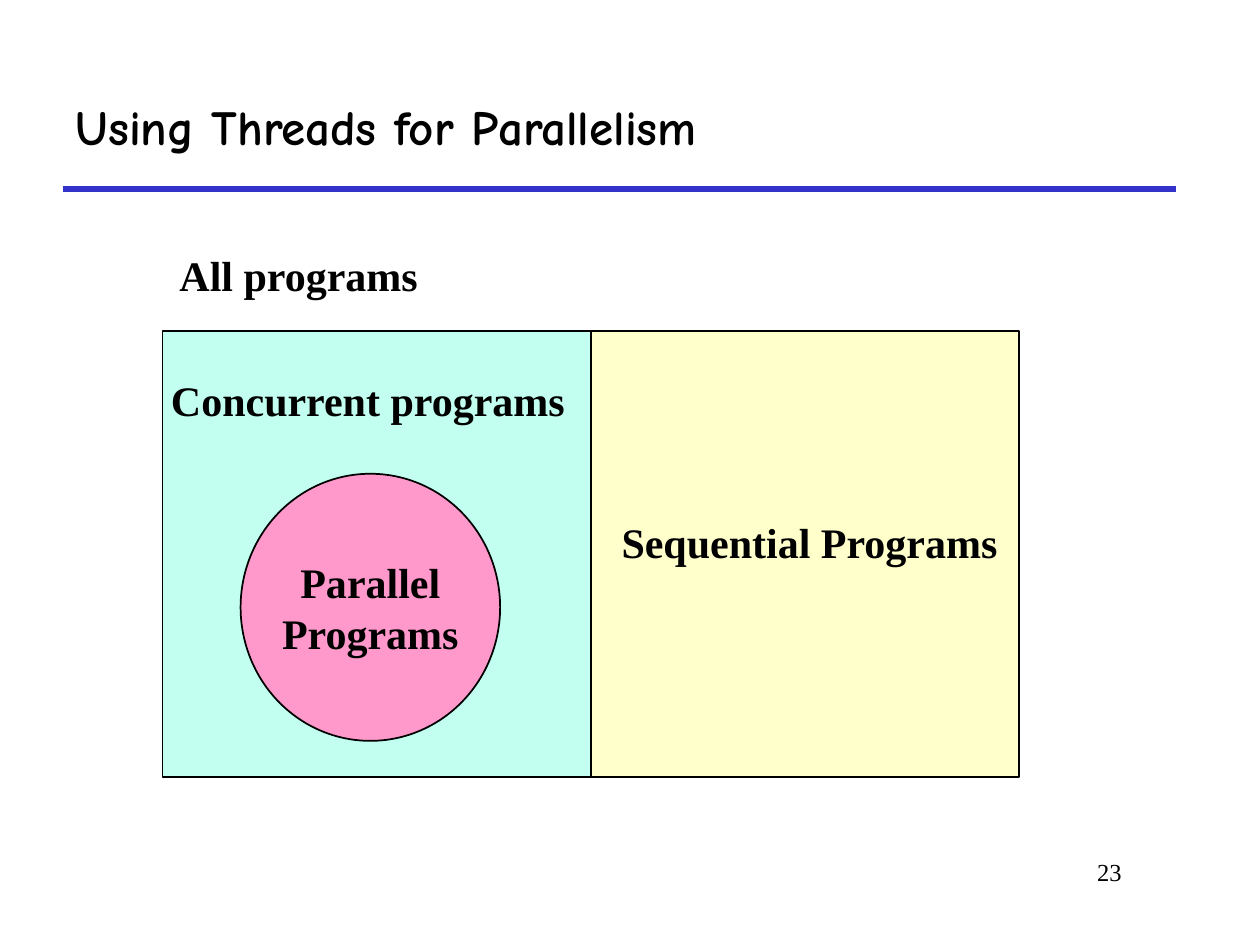
from lxml import etree
from pptx import Presentation
from pptx.dml.color import RGBColor
from pptx.enum.shapes import MSO_CONNECTOR, MSO_SHAPE
from pptx.enum.text import MSO_ANCHOR, PP_ALIGN
from pptx.oxml.ns import qn
from pptx.util import Inches, Pt

BLACK = "000000"
SERIF = "Times New Roman"


def color(value):
    return RGBColor.from_string(value)


def write(shape, lines, size, font=SERIF, bold=True, align=PP_ALIGN.CENTER,
          anchor=MSO_ANCHOR.MIDDLE, wrap=False):
    frame = shape.text_frame
    frame.word_wrap = wrap
    frame.vertical_anchor = anchor
    frame.text = "\n".join(lines)
    for paragraph in frame.paragraphs:
        paragraph.alignment = align
        paragraph.font.name = font
        paragraph.font.size = Pt(size)
        paragraph.font.bold = bold
        paragraph.font.color.rgb = color(BLACK)


def add_region(slide, kind, box, fill):
    region = slide.shapes.add_shape(kind, *map(Inches, box))
    region.shadow.inherit = False
    region.fill.solid()
    region.fill.fore_color.rgb = color(fill)
    region.line.color.rgb = color(BLACK)
    region.line.width = Pt(1)
    return region


def add_label(slide, text, box):
    label = slide.shapes.add_textbox(*map(Inches, box))
    write(label, [text], 24)


def add_header(slide, left, top, width, height):
    rule = slide.shapes.add_connector(
        MSO_CONNECTOR.STRAIGHT, Inches(left), Inches(top + height),
        Inches(left + width), Inches(top + height))
    rule.line.color.rgb = color("3333CC")
    rule.line.width = Pt(3)
    etree.SubElement(rule._element.spPr, qn("a:effectLst"))

    title = slide.shapes.title
    title.left, title.top = Inches(left), Inches(top)
    title.width, title.height = Inches(width), Inches(height)
    write(title, ["Using Threads for Parallelism"], 28, "Comic Neue",
          align=PP_ALIGN.LEFT, wrap=True)


def add_program_sets(slide, left, top, width, height):
    half = width / 2
    middle = left + half
    add_label(slide, "All programs", (left + 0.03, top - 0.7, 2.1, 0.5))
    add_region(slide, MSO_SHAPE.RECTANGLE, (left, top, half, height), "C2FFF0")
    add_region(slide, MSO_SHAPE.RECTANGLE, (middle, top, half, height), "FFFFCC")
    add_label(slide, "Sequential Programs", (middle + 0.14, top + 1.42, 3.19, 0.5))
    add_label(slide, "Concurrent programs", (left - 0.04, top + 0.29, 3.34, 0.5))
    parallel = add_region(slide, MSO_SHAPE.OVAL,
                          (left + 0.62, top + 1.13, 2.06, 2.12), "FF99CC")
    write(parallel, ["Parallel", "Programs"], 24)


def add_page_number(slide, left, top, width, height):
    number = slide.shapes.add_textbox(*map(Inches, (left, top, width, height)))
    write(number, ["23"], 14, bold=False, align=PP_ALIGN.RIGHT,
          anchor=MSO_ANCHOR.TOP, wrap=True)


def main():
    deck = Presentation()
    deck.slide_width, deck.slide_height = Inches(10), Inches(7.5)
    slide = deck.slides.add_slide(deck.slide_layouts[5])
    add_header(slide, 0.5, 0.5, 8.83, 1)
    add_program_sets(slide, 1.29, 2.63, 6.8, 3.54)
    add_page_number(slide, 7.58, 6.75, 1.42, 0.5)
    deck.save("out.pptx")


if __name__ == "__main__":
    main()
